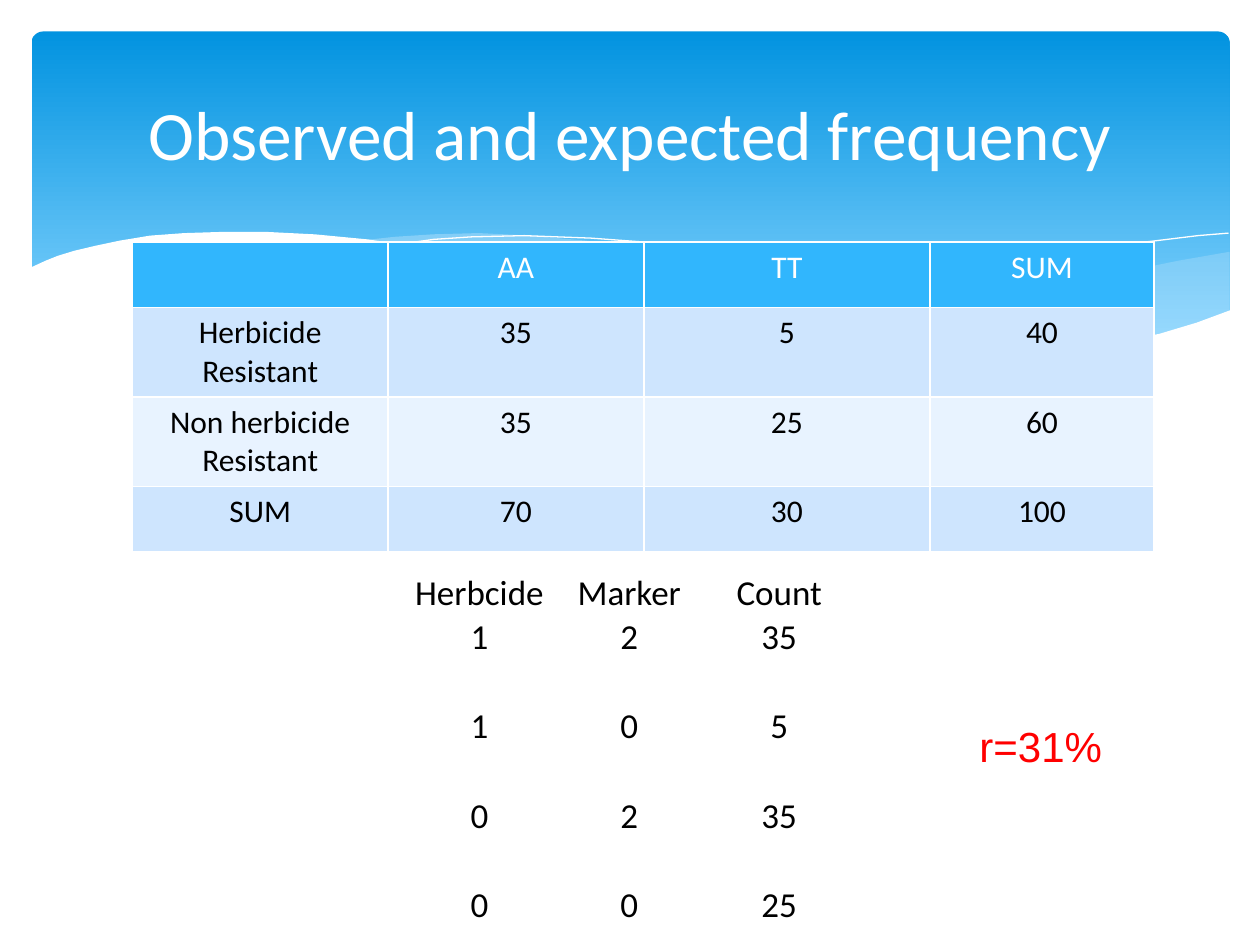
from pptx import Presentation
from pptx.dml.color import RGBColor
from pptx.enum.shapes import MSO_SHAPE
from pptx.enum.text import MSO_ANCHOR, PP_ALIGN
from pptx.oxml.ns import qn
from pptx.util import Inches, Pt
from lxml.etree import SubElement

PLAIN = "{2D5ABB26-0587-4C30-8999-92F81FD0307C}"
FINE = 10

MIST = [(97.5, 20), (93.5, 20.7), (89.1, 21.6), (86.1, 22.3), (80.5, 23.7), (75.3, 24.8),
        (70.6, 25.7), (66.1, 26.5), (70.5, 26.9), (74.5, 27.5), (79.2, 27.7), (83.5, 27.7),
        (88.1, 27.3), (92.1, 26.5), (94.9, 25.7), (97.6, 24.7), (97.6, 20)]
SWELL = [(89.3, 27.3), (83.7, 26.5), (77.5, 25.4), (70.6, 24), (62.9, 22.2), (58.4, 21.1),
         (54.1, 20.3), (50.2, 19.6), (46.5, 19.1), (42, 18.7), (38, 18.5), (34.4, 18.6),
         (31.3, 18.8), (28.6, 19.1), (34.2, 19.9), (40.4, 21.1), (44.9, 22.2), (53, 24),
         (60.1, 25.5), (66.5, 26.6), (72.2, 27.4), (77.3, 27.7), (81.8, 27.8), (85.7, 27.7)]
CREST = [(30.9, 19.5), (34.4, 19), (37.4, 18.8), (41.6, 18.7), (46.9, 18.9), (51, 19.2),
         (55.6, 19.7), (60.8, 20.4), (66.5, 21.3), (72.7, 22.6), (79.5, 24.1), (86.9, 26.1),
         (90.7, 27.2)]
RISE = [(61.3, 25.7), (67.2, 24.1), (74.8, 22.3), (80.6, 21), (86.6, 19.9), (91, 19.2),
        (95.1, 18.7), (97.5, 18.5)]
SHORE = [(97.7, 24.6), (95, 25.6), (92, 26.5), (88.7, 27.1), (85, 27.5), (80.9, 27.7),
         (76.1, 27.5), (70.8, 27), (64.8, 26.2), (57.9, 25), (50.3, 23.3), (44.7, 22),
         (39.1, 20.7), (34, 19.7), (29.2, 19), (25, 18.6), (21.1, 18.4), (17.7, 18.4),
         (14.6, 18.5), (11.9, 18.7), (9.5, 19.1), (7.6, 19.5), (5.9, 19.9), (4.6, 20.3),
         (3.6, 20.7), (2.3, 21.3), (2.3, 32.9), (97.7, 32.9)]


def color(code):
    return RGBColor.from_string(code)


class Deck:
    def __init__(self, cols=100):
        self.file = Presentation()
        self.file.slide_width, self.file.slide_height = Inches(10), Inches(7.5)
        self.unit = self.file.slide_width / cols
        self.font, self.ink, self.white = "Calibri", "000000", "FFFFFF"
        self.slide = self.file.slides.add_slide(self.file.slide_layouts[6])
        self.shapes = self.slide.shapes

    def span(self, *sizes):
        return [round(size * self.unit) for size in sizes]

    def fade(self, fill, alpha):
        tint = fill._xPr.find(qn("a:solidFill"))[0]
        SubElement(tint, qn("a:alpha")).set("val", str(alpha * 1000))

    def label(self, frame, text, size, ink, font=None):
        frame.text = text
        for para in frame.paragraphs:
            para.alignment = PP_ALIGN.CENTER
            for run in para.runs:
                run.font.name = font or self.font
                run.font.size = Pt(size)
                run.font.bold = False
                run.font.color.rgb = color(ink)

    def panel(self, box, stops, curve):
        shape = self.shapes.add_shape(MSO_SHAPE.ROUNDED_RECTANGLE, *self.span(*box))
        shape.adjustments[0] = curve
        shape.shadow.inherit = False
        shape.line.fill.background()
        shape.fill.gradient()
        shape.fill.gradient_angle = 270
        for stop, (place, code) in zip(shape.fill.gradient_stops, stops):
            stop.position = place
            stop.color.rgb = color(code)

    def wave(self, points, fill=None, alpha=100):
        fine = [(x * FINE, y * FINE) for x, y in points]
        form = self.shapes.build_freeform(*fine[0], scale=self.unit / FINE)
        form.add_line_segments(fine[1:], close=fill is not None)
        shape = form.convert_to_shape()
        shape.shadow.inherit = False
        if fill:
            shape.fill.solid()
            shape.fill.fore_color.rgb = color(fill)
            self.fade(shape.fill, alpha)
            shape.line.fill.background()
        else:
            shape.fill.background()
            shape.line.color.rgb = color(self.white)
            shape.line.width = 0

    def title(self, box, text, size):
        frame = self.shapes.add_textbox(*self.span(*box)).text_frame
        frame.word_wrap = True
        frame.vertical_anchor = MSO_ANCHOR.MIDDLE
        self.label(frame, text, size, self.white)

    def note(self, box, text, size, ink, font):
        shape = self.shapes.add_shape(MSO_SHAPE.RECTANGLE, *self.span(*box))
        shape.shadow.inherit = False
        shape.fill.solid()
        shape.fill.fore_color.rgb = color(self.white)
        self.fade(shape.fill, 95)
        shape.line.fill.background()
        self.label(shape.text_frame, text, size, ink, font)

    def table(self, place, wide, high, data, size, fills=None):
        box = self.span(*place, sum(wide), sum(high))
        grid = self.shapes.add_table(len(data), len(wide), *box).table
        for col, width in zip(grid.columns, self.span(*wide)):
            col.width = width
        for row, height in zip(grid.rows, self.span(*high)):
            row.height = height
        if not fills:
            grid._tbl.tblPr.find(qn("a:tableStyleId")).text = PLAIN
        for r, line in enumerate(data):
            for c, text in enumerate(line):
                cell = grid.cell(r, c)
                ink = self.white if fills and r == 0 else self.ink
                self.label(cell.text_frame, text, size, ink)
                if fills:
                    cell.fill.solid()
                    cell.fill.fore_color.rgb = color(fills[r])
                else:
                    cell.fill.background()
                    cell.vertical_anchor = MSO_ANCHOR.BOTTOM
                    cell.margin_left = cell.margin_right = cell.margin_top = Inches(0.01)
                    cell.margin_bottom = 0


def main():
    deck = Deck()
    deck.panel((2.5, 2.5, 95.1, 27), [(0, "0293E0"), (0.9, "83D3FE")], 0.034)
    deck.wave(MIST, "C6E7FC", 29)
    deck.wave(SWELL, "C6E7FC", 40)
    deck.wave(CREST)
    deck.wave(RISE)
    deck.wave(SHORE, deck.white)

    freq = [("", "AA", "TT", "SUM"),
            ("Herbicide Resistant", "35", "5", "40"),
            ("Non herbicide\nResistant", "35", "25", "60"),
            ("SUM", "70", "30", "100")]
    deck.table((10.5, 19.2), (20.3, 20.3, 22.7, 17.8), (5.2, 7.1, 7.1, 5.2), freq, 18,
               ("31B6FD", "CEE5FE", "E8F3FF", "CEE5FE"))
    deck.title((5, 3.7, 90, 13.7), "Observed and expected frequency", 39.6)

    blank = ("", "", "")
    count = [("Herbcide", "Marker", "Count"), ("1", "2", "35"), blank, ("1", "0", "5"),
             blank, ("0", "2", "35"), blank, ("0", "0", "25")]
    high = [3.6 if line == blank else 3.5 for line in count]
    deck.table((32.1, 45.3), (11.9,) * 3, high, count, 20)
    deck.note((65.2, 56.7, 34.8, 5), "r=31%", 24, "FF0000", "Arial")
    deck.file.save("out.pptx")


if __name__ == "__main__":
    main()
